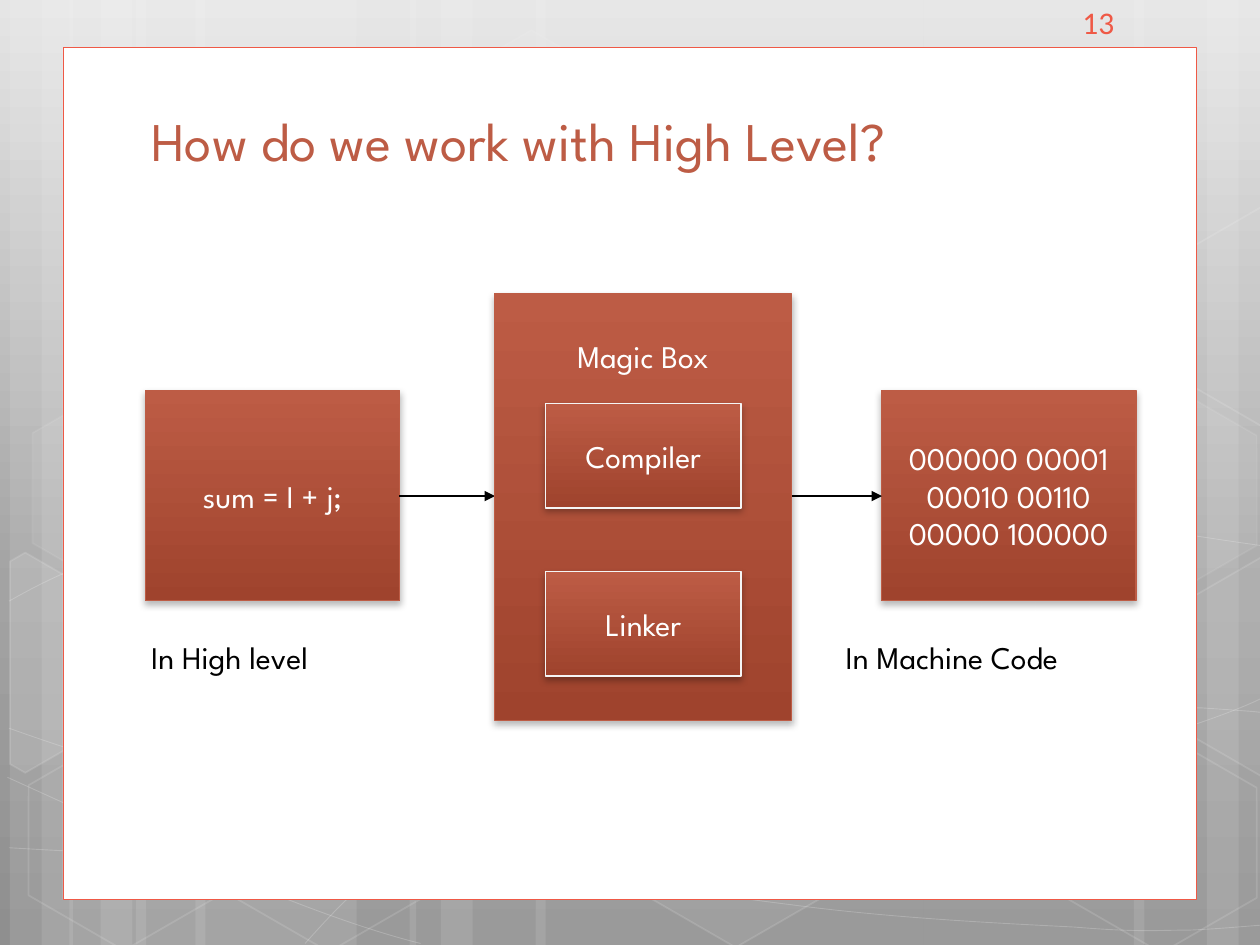
"""Build a slide that shows how high-level code becomes machine code."""
from copy import deepcopy
from math import cos, radians, sin, sqrt

from lxml.etree import SubElement
from pptx import Presentation
from pptx.dml.color import RGBColor
from pptx.enum.shapes import MSO_CONNECTOR as Connector, MSO_SHAPE as Shape
from pptx.enum.text import MSO_ANCHOR as Anchor, PP_ALIGN as Align
from pptx.oxml.ns import qn
from pptx.util import Cm, Pt

WHITE = RGBColor(0xFF, 0xFF, 0xFF)
BLACK = RGBColor(0, 0, 0)
RUST = RGBColor(0xBD, 0x5C, 0x45)
DARK_RUST = RGBColor(0x9F, 0x43, 0x2D)
CORAL = RGBColor(0xEF, 0x59, 0x46)
PALE = RGBColor(0xF5, 0xF5, 0xF5)
BACKDROP = [(0, RGBColor(0xE5, 0xE5, 0xE5)), (0.62, RGBColor(0xA3, 0xA3, 0xA3)),
            (1, RGBColor(0x8F, 0x8F, 0x8F))]
BOX_GRADIENT = [(0, RUST), (1, DARK_RUST)]

HEADING_FONT = "League Spartan"
NUMBER_FONT = "Calibri"
SLIDE_WIDTH, SLIDE_HEIGHT = 25.4, 19.05
INSET = 0.13
HEX_RADIUS, HEX_TURN = 2.22, 30
HEX_LEFT_LIMIT, HEX_RIGHT_LIMIT = 0.2, 25.63

BANDS = [(2.74, 4.45), (0.2, 1.27), (0.84, 2.11), (3.94, 4.45), (1.4, 1.27), (2.03, 2.11),
         (18.62, 4.45), (24.33, 1.27), (22.86, 2.11), (10.8, 7.82), (8.26, 1.27), (8.89, 2.11)]
CURVES = [
    [(0.18, 17.09), (1.55, 17.17), (2.92, 17.25), (4.83, 17.22), (6.73, 17.2), (9.09, 17.15),
     (11.63, 16.89), (14.17, 16.64), (17.78, 16.15), (20.12, 15.67), (22.43, 15.19),
     (24.82, 14.43), (25.58, 14)],
    [(0.18, 12.12), (0.91, 11.71), (1.65, 11.33), (3.07, 10.95), (4.52, 10.57), (6.58, 10.01),
     (8.81, 9.83), (11.07, 9.65), (13.82, 9.63), (16.61, 9.83), (19.41, 10.03),
     (24.05, 10.82), (25.58, 11.02)],
    [(0.15, 15.67), (3.23, 17.07), (6.27, 18.47), (8.48, 19.02)],
    [(0.18, 14.68), (0.97, 14.96), (1.78, 15.24), (3.25, 15.65), (4.72, 16.03), (6.93, 16.66),
     (9.07, 17.09), (11.18, 17.53), (13.84, 17.98), (15.95, 18.24), (18.06, 18.52),
     (20.32, 18.62), (21.67, 18.69), (22.99, 18.8), (23.34, 18.75), (24, 18.75),
     (24.66, 18.72), (25.12, 18.67), (25.58, 18.64)],
    [(6.15, 19.02), (6.6, 18.52), (7.06, 18.01), (7.67, 17.55), (8.28, 17.09), (9.14, 16.59),
     (9.86, 16.23), (10.57, 15.88), (11, 15.72), (11.94, 15.47), (12.85, 15.21),
     (14.55, 14.86), (15.44, 14.68), (16.36, 14.5), (16.48, 14.5), (17.27, 14.45),
     (18.06, 14.38), (19.3, 14.3), (20.17, 14.27), (21.06, 14.25), (22.5, 14.27),
     (22.5, 14.27), (22.5, 14.27), (24.21, 14.27), (24.21, 14.27), (24.66, 14.3),
     (25.1, 14.33), (25.32, 14.35), (25.55, 14.38), (25.48, 14.35), (25.55, 14.38)],
]
HEXAGONS = [
    (10.71, 2.83, 4, 8), (14.83, 16.88, 6, 12), (0.51, 13.36, 10, 12), (2.5, 16.94, 0, 12),
    (2.58, 9.84, 7, 8), (6.63, 16.97, 0, 12), (21.35, 13.44, 10, 12), (23.41, 16.99, 0, 12),
    (23.41, 9.89, 7, 8), (25.45, 13.44, 4, 12), (25.45, 6.38, 0, 12),
]


def set_alpha(parent, percent):
    """Make the solid fill of a shape or line element translucent."""
    color = parent.find(f"{qn('a:solidFill')}/{qn('a:srgbClr')}")
    SubElement(color, qn("a:alpha"), val=str(percent * 1000))


def paint_gradient(fill, element, stops):
    """Fill from top to bottom with the given stops."""
    fill.gradient()
    fill.gradient_angle = 270
    stop_list = next(element.iter(qn("a:gsLst")))
    while len(stop_list) < len(stops):
        stop_list.append(deepcopy(stop_list[-1]))
    for stop, (position, color) in zip(fill.gradient_stops, stops):
        stop.position = position
        stop.color.rgb = color


def add_rectangle(page, left, top, width, height):
    """Add a rectangle without a shadow."""
    box = page.shapes.add_shape(Shape.RECTANGLE, Cm(left), Cm(top), Cm(width), Cm(height))
    box.shadow.inherit = False
    return box


def add_band(page, left, width):
    """Add a faint full-height stripe."""
    band = add_rectangle(page, left, 0, width, SLIDE_HEIGHT)
    band.fill.solid()
    band.fill.fore_color.rgb = WHITE
    band.line.fill.background()
    set_alpha(band._element.spPr, 10)


def add_outline(page, points, closed, fill_alpha, line_alpha, weight):
    """Add a translucent white outline through the points."""
    (start_x, start_y), *others = [(Cm(x), Cm(y)) for x, y in points]
    builder = page.shapes.build_freeform(start_x, start_y)
    builder.add_line_segments(others, close=closed)
    outline = builder.convert_to_shape()
    outline.shadow.inherit = False
    if fill_alpha:
        outline.fill.solid()
        outline.fill.fore_color.rgb = WHITE
        set_alpha(outline._element.spPr, fill_alpha)
    else:
        outline.fill.background()
    outline.line.color.rgb = WHITE
    outline.line.width = Pt(weight)
    set_alpha(outline._element.spPr.find(qn("a:ln")), line_alpha)
    return outline


def add_curve(page, points):
    """Add a Bezier curve, with two control points between each pair of anchors."""
    outline = add_outline(page, points, False, 0, 20, 0.5)
    track = next(outline._element.iter(qn("a:path")))
    segments = track.findall(qn("a:lnTo"))
    for first in range(0, len(segments), 3):
        curve = SubElement(track, qn("a:cubicBezTo"))
        for segment in segments[first:first + 3]:
            curve.append(segment[0])
            track.remove(segment)


def rotate(x, y, degrees):
    """Turn a vector clockwise."""
    angle = radians(degrees)
    return x * cos(angle) - y * sin(angle), x * sin(angle) + y * cos(angle)


def add_hexagon(page, center_x, center_y, fill_alpha, line_alpha):
    """Add a turned hexagon, cut off at the side limits."""
    points = []
    for side, direction in [(-1, -1), (0, -1), (1, -1), (1, 1), (0, 1), (-1, 1)]:
        x = center_x + side * HEX_RADIUS * sqrt(3) / 2
        across = min(max(x, HEX_LEFT_LIMIT), HEX_RIGHT_LIMIT) - center_x
        down = direction * (HEX_RADIUS - abs(across) / sqrt(3))
        across, down = rotate(across, down, -HEX_TURN)
        points.append((center_x + across, center_y + down))
    outline = add_outline(page, points, True, fill_alpha, line_alpha, 1)
    across = outline.left + outline.width / 2 - Cm(center_x)
    down = outline.top + outline.height / 2 - Cm(center_y)
    turned_across, turned_down = rotate(across, down, HEX_TURN)
    outline.left += round(turned_across - across)
    outline.top += round(turned_down - down)
    outline.rotation = HEX_TURN


def write(box, text, color, size=18, font=HEADING_FONT, align=Align.LEFT,
          anchor=Anchor.TOP, wrap=True):
    """Put one formatted paragraph in a shape."""
    frame = box.text_frame
    frame.text = text
    frame.word_wrap = wrap
    frame.vertical_anchor = anchor
    frame.margin_left = frame.margin_right = frame.margin_top = frame.margin_bottom = Cm(INSET)
    para = frame.paragraphs[0]
    para.alignment = align
    span = para.runs[0]
    span.font.size, span.font.name = Pt(size), font
    span.font.color.rgb = color


def add_text(page, left, top, width, height, text, color, **style):
    """Add a text box."""
    box = page.shapes.add_textbox(Cm(left), Cm(top), Cm(width), Cm(height))
    write(box, text, color, **style)


def add_box(page, left, top, width, height, text="", edge=RUST):
    """Add a rust block with a soft shadow and centred text."""
    box = add_rectangle(page, left, top, width, height)
    paint_gradient(box.fill, box._element, BOX_GRADIENT)
    box.line.color.rgb = edge
    box.line.width = Pt(0.75)
    effects = box._element.spPr.find(qn("a:effectLst"))
    shadow = SubElement(effects, qn("a:outerShdw"), blurRad=str(Pt(4)), dist=str(Pt(2)),
                        dir="5400000", rotWithShape="0")
    color = SubElement(shadow, qn("a:srgbClr"), val=str(BLACK))
    SubElement(color, qn("a:alpha"), val="28000")
    if text:
        write(box, text, WHITE, align=Align.CENTER, anchor=Anchor.MIDDLE)


def add_arrow(page, start, end, height):
    """Add a level arrow pointing right."""
    arrow = page.shapes.add_connector(Connector.STRAIGHT, Cm(start), Cm(height), Cm(end), Cm(height))
    arrow.line.color.rgb = BLACK
    arrow.line.width = Pt(1.25)
    properties = arrow._element.spPr
    SubElement(properties.find(qn("a:ln")), qn("a:tailEnd"), type="triangle")
    SubElement(properties, qn("a:effectLst"))


def add_backdrop(page):
    """Add the grey background, its decoration and the white panel."""
    paint_gradient(page.background.fill, page._element, BACKDROP)
    for band in BANDS:
        add_band(page, *band)
    for points in CURVES:
        add_curve(page, points)
    for hexagon in HEXAGONS:
        add_hexagon(page, *hexagon)
    panel = add_rectangle(page, 1.27, 0.96, 22.86, 17.17)
    panel.fill.solid()
    panel.fill.fore_color.rgb = WHITE
    panel.line.color.rgb = CORAL
    panel.line.width = Pt(0.5)


def main():
    """Build and save the deck."""
    deck = Presentation()
    deck.slide_width, deck.slide_height = Cm(SLIDE_WIDTH), Cm(SLIDE_HEIGHT)
    page = deck.slides.add_slide(deck.slide_layouts[6])
    add_backdrop(page)
    add_text(page, 2.92, 2.01, 19.94, 1.6, "How do we work with High Level?", RUST,
             size=31.1, anchor=Anchor.BOTTOM)
    add_text(page, 21.69, -0.06, 0.99, 1.03, "13", CORAL, font=NUMBER_FONT, wrap=False)
    for left, text in [(2.93, "sum = I + j;"), (17.77, "000000 00001 00010 00110 00000 100000")]:
        add_box(page, left, 7.87, 5.13, 4.24, text)
    for start, end in [(8.05, 9.98), (15.85, 17.78)]:
        add_arrow(page, start, end, 10)
    add_box(page, 9.97, 5.92, 5.99, 8.6)
    add_text(page, 10.26, 6.66, 5.41, 1.03, "Magic Box", WHITE, align=Align.CENTER)
    for top, text in [(8.13, "Compiler"), (11.52, "Linker")]:
        add_box(page, 11, top, 3.94, 2.11, text, PALE)
    for left, width, text in [(2.92, 4.17, "In High level"), (16.92, 5.87, "In Machine Code")]:
        add_text(page, left, 12.73, width, 1.03, text, BLACK, wrap=False)
    deck.save("out.pptx")


if __name__ == "__main__":
    main()
